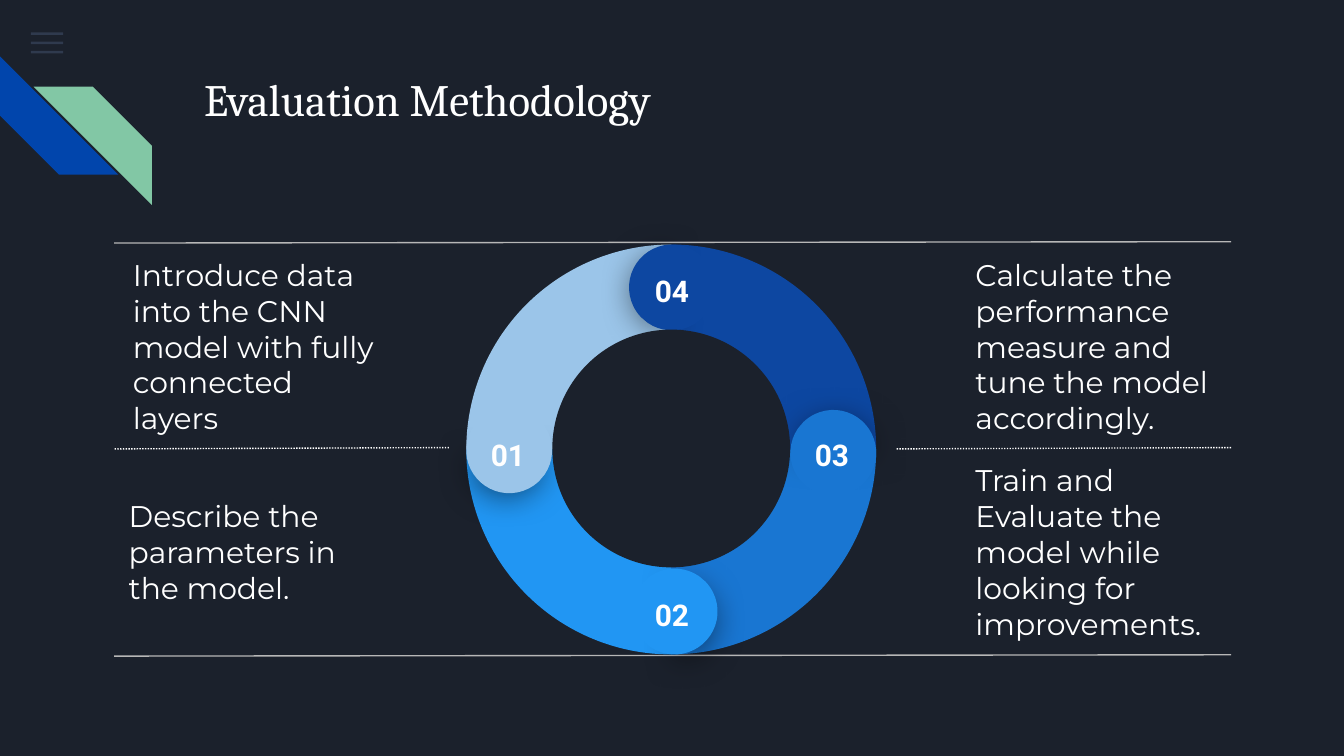
from dataclasses import dataclass
from lxml import etree
from pptx import Presentation
from pptx import util as u
from pptx.dml.color import RGBColor
from pptx.enum import dml, shapes, text
from pptx.oxml.ns import qn

BG, WHITE, GREY = "1B212C", "FFFFFF", "B7B7B7"
SHAPE = shapes.MSO_SHAPE
BODY = {"name": "Montserrat", "size": u.Pt(16), "bold": False}
NUMBER = {"name": "Roboto", "size": u.Pt(16), "bold": True}
TITLE = {"name": "Cambria", "size": u.Pt(24), "bold": False}


@dataclass
class Step:
    number: str
    color: str
    note: str
    note_at: tuple
    label_at: tuple
    cap_at: tuple
    shade_at: tuple
    shade_arc: tuple = (189.54, 83.81)


@dataclass
class Rule:
    x1: float
    x2: float
    y: float
    color: str
    dotted: bool = False


# Steps run anticlockwise from the left; each is a quarter turn further
STEPS = [
    Step("01", "9BC5E9", "Introduce data into the CNN model with fully connected layers",
         (64.1, 167.8), (252, 226.8), (249.8, 218.2), (250.6, 221)),
    Step("02", "2196F3", "Describe the parameters in the model.",
         (61.9, 277.9), (339.8, 312.5), (338.4, 304.6), (341.3, 308.2)),
    Step("03", "1976D2", "Train and Evaluate the model while looking for improvements.",
         (515.5, 277.9), (425.5, 226.8), (423.4, 219.6), (427, 221), (196.87, 77.71)),
    Step("04", "0D47A1", "Calculate the performance measure and tune the model accordingly.",
         (515.5, 167.8), (339.8, 139), (337, 131), (338.4, 131.8)),
]
RULES = [
    Rule(659.5, 61.2, 129.5, GREY),
    Rule(240.5, 61.2, 239.8, WHITE, True),
    Rule(659.5, 480.2, 239.8, WHITE, True),
    Rule(659.5, 61.2, 350.8, GREY),
]


def rgb(color: str) -> RGBColor:
    return RGBColor.from_string(color)


def add_alpha(parent, percent: int) -> None:
    etree.SubElement(parent, qn("a:alpha"), val=str(percent * 1000))


def add_shape(s, kind, at: tuple, size: tuple, color: str, turn: float = 0, adj: tuple = ()):
    sp = s.shapes.add_shape(kind, *map(u.Pt, (*at, *size)))
    sp.shadow.inherit = False
    sp.fill.solid()
    sp.fill.fore_color.rgb = rgb(color)
    sp.line.fill.background()
    sp.rotation = turn % 360
    for i, value in enumerate(adj):
        sp.adjustments[i] = value
    return sp


def add_shadow(sp) -> None:
    effects = sp._element.spPr.find(qn("a:effectLst"))
    shadow = etree.SubElement(effects, qn("a:outerShdw"), blurRad=str(u.Pt(18)),
                              dist=str(u.Pt(4)), dir="5400000", algn="bl", rotWithShape="0")
    add_alpha(etree.SubElement(shadow, qn("a:srgbClr"), val="000000"), 55)


def write(sp, words: str, style: dict, align, anchor) -> None:
    tf = sp.text_frame
    frame = {"word_wrap": True, "auto_size": text.MSO_AUTO_SIZE.NONE, "vertical_anchor": anchor}
    frame |= {f"margin_{side}": u.Pt(7.2) for side in ("left", "top", "right", "bottom")}
    for key, value in frame.items():
        setattr(tf, key, value)
    p = tf.paragraphs[0]
    p.alignment = align
    r = p.add_run()
    r.text = words
    for key, value in style.items():
        setattr(r.font, key, value)
    r.font.color.rgb = rgb(WHITE)


def add_text(s, at: tuple, size: tuple, words: str, style: dict, align, anchor) -> None:
    write(s.shapes.add_textbox(*map(u.Pt, (*at, *size))), words, style, align, anchor)


def add_rule(s, rule: Rule) -> None:
    # Each rule drops slightly towards the left
    ends = (rule.x1, rule.y, rule.x2, rule.y + 0.7)
    line = s.shapes.add_connector(shapes.MSO_CONNECTOR.STRAIGHT, *map(u.Pt, ends))
    line.line.color.rgb = rgb(rule.color)
    line.line.width = u.Pt(0.75)
    if rule.dotted:
        line.line.dash_style = dml.MSO_LINE.ROUND_DOT
    etree.SubElement(line._element.spPr, qn("a:effectLst"))


def add_decoration(s) -> None:
    # Menu icon
    for i in range(3):
        bar = add_shape(s, SHAPE.RECTANGLE, (16.6, 17.3 + 5 * i), (17.3, 1.4), "55688B")
        add_alpha(bar._element.spPr.find(".//" + qn("a:srgbClr")), 36)
    # Corner stripes
    add_shape(s, SHAPE.DIAGONAL_STRIPE, (0, 30.2), (63.4, 63.4), "0145AC", 270, (0.5,))
    green = add_shape(s, SHAPE.DIAGONAL_STRIPE, (18, 46.4), (63.4, 63.4), "82C7A5", 0, (0.5,))
    green._element.spPr.xfrm.set("flipH", "1")


def add_cap(s, step: Step, turn: float) -> None:
    shade = add_shape(s, SHAPE.PIE, step.shade_at, (41, 41), step.color,
                      turn + 39.5, step.shade_arc)
    add_shadow(shade)
    add_shape(s, SHAPE.CHORD, step.cap_at, (46, 46), step.color, turn + 4.1, (25.01, 18.12))
    add_text(s, step.label_at, (40.3, 20.9), step.number, NUMBER,
             text.PP_ALIGN.CENTER, text.MSO_ANCHOR.TOP)


def main() -> None:
    prs = Presentation()
    prs.slide_width, prs.slide_height = u.Pt(720), u.Pt(405)
    s = prs.slides.add_slide(prs.slide_layouts[5])
    s.background.fill.solid()
    s.background.fill.fore_color.rgb = rgb(BG)
    add_decoration(s)

    # Title
    title = s.shapes.title
    for key, value in {"left": 102.2, "top": 31, "width": 554.4, "height": 72}.items():
        setattr(title, key, u.Pt(value))
    write(title, "Evaluation Methodology", TITLE, text.PP_ALIGN.LEFT, text.MSO_ANCHOR.TOP)

    # Notes and rules
    for step in STEPS:
        add_text(s, step.note_at, (146.2, 35.3), step.note, BODY,
                 text.PP_ALIGN.LEFT, text.MSO_ANCHOR.MIDDLE)
    for rule in RULES:
        add_rule(s, rule)

    # Ring: quarters, rounded caps, then the hole
    for i, step in enumerate(STEPS):
        add_shape(s, SHAPE.PIE, (249.8, 131), (219.6, 219.6), step.color, -90 * i, (107.96, 162.01))
    for i, step in enumerate(STEPS):
        add_cap(s, step, -90 * i)
    add_shape(s, SHAPE.OVAL, (295.9, 176.6), (127.4, 127.4), BG)
    prs.save("out.pptx")


if __name__ == "__main__":
    main()
